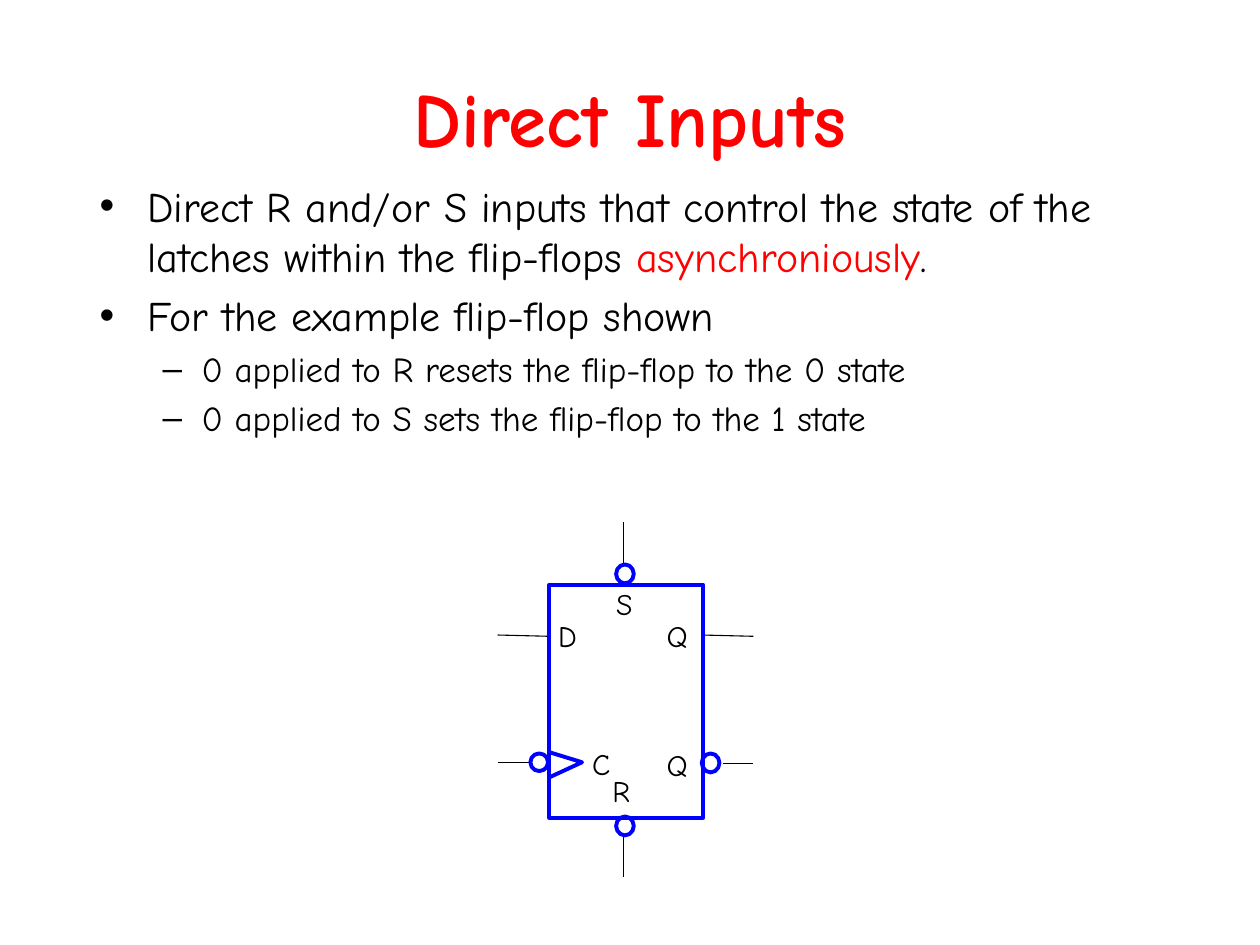
from dataclasses import dataclass

from lxml import etree
from pptx import Presentation
from pptx import util as u
from pptx.dml.color import RGBColor
from pptx.enum import shapes, text
from pptx.oxml.ns import qn

FONT = "Comic Neue"
BLACK, RED, BLUE, WHITE = "000000", "FF0000", "0000FF", "FFFFFF"
OUTLINE = 2.25
BUBBLE_SIZE = 0.14


@dataclass
class Wire:
    start: tuple[float, float]
    end: tuple[float, float]
    width: float = 0.63


@dataclass
class Label:
    name: str
    left: float
    top: float
    width: float


@dataclass
class Bullet:
    runs: list[tuple[str, str]]
    level: int = 0


@dataclass
class BulletStyle:
    mark: str
    margin: float
    indent: float
    size: float
    space_before: float


def color(value: str) -> RGBColor:
    return RGBColor.from_string(value)


def add_text(paragraph, content: str, *, size: float, fill: str = BLACK, bold: bool = False) -> None:
    run = paragraph.add_run()
    run.text = content
    run.font.name = FONT
    run.font.size = u.Pt(size)
    run.font.bold = bold
    run.font.color.rgb = color(fill)


def place(shape, left: float, top: float, width: float, height: float) -> None:
    shape.left, shape.top = u.Inches(left), u.Inches(top)
    shape.width, shape.height = u.Inches(width), u.Inches(height)


def set_bullet(paragraph, style: BulletStyle) -> None:
    paragraph.space_before = u.Pt(style.space_before)
    properties = paragraph._p.get_or_add_pPr()
    properties.set("marL", str(u.Inches(style.margin)))
    properties.set("indent", str(u.Inches(style.indent)))
    etree.SubElement(properties, qn("a:buChar")).set("char", style.mark)


def outline(shape, fill: str | None) -> None:
    shape.shadow.inherit = False
    if fill:
        shape.fill.solid()
        shape.fill.fore_color.rgb = color(fill)
    else:
        shape.fill.background()
    shape.line.color.rgb = color(BLUE)
    shape.line.width = u.Pt(OUTLINE)


def add_wire(group, wire: Wire) -> None:
    points = [u.Inches(value) for value in (*wire.start, *wire.end)]
    line = group.shapes.add_connector(shapes.MSO_CONNECTOR.STRAIGHT, *points)
    line.line.color.rgb = color(BLACK)
    line.line.width = u.Pt(wire.width)
    etree.SubElement(line._element.spPr, qn("a:effectLst"))


def add_block(group, kind, left: float, top: float, width: float, height: float,
              fill: str | None = None) -> None:
    shape = group.shapes.add_shape(
        kind, u.Inches(left), u.Inches(top), u.Inches(width), u.Inches(height))
    outline(shape, fill)


def add_label(group, label: Label) -> None:
    box = group.shapes.add_textbox(
        u.Inches(label.left), u.Inches(label.top), u.Inches(label.width), u.Inches(0.29))
    frame = box.text_frame
    frame.margin_left = frame.margin_right = frame.margin_top = frame.margin_bottom = 0
    frame.word_wrap = False
    frame.auto_size = text.MSO_AUTO_SIZE.SHAPE_TO_FIT_TEXT
    add_text(frame.paragraphs[0], label.name, size=17)


presentation = Presentation()
presentation.slide_width, presentation.slide_height = u.Inches(10), u.Inches(7.5)
slide = presentation.slides.add_slide(presentation.slide_layouts[1])
title, body = slide.placeholders

# Title
place(title, 0.5, 0.3, 9, 1.25)
title.text_frame.auto_size = text.MSO_AUTO_SIZE.NONE
title.text_frame.vertical_anchor = text.MSO_ANCHOR.MIDDLE
heading = title.text_frame.paragraphs[0]
heading.alignment = text.PP_ALIGN.CENTER
add_text(heading, "Direct Inputs", size=44, fill=RED, bold=True)

# Bulleted list
STYLES = [BulletStyle("•", 0.38, -0.38, 24, 5), BulletStyle("–", 0.81, -0.31, 20, 4)]
BULLETS = [
    Bullet([("Direct R and/or S inputs that control the state of the latches "
             "within the flip-flops ", BLACK), ("asynchroniously", RED), (". ", BLACK)]),
    Bullet([("For the example flip-flop shown ", BLACK)]),
    Bullet([("0 applied to R resets the flip-flop to the 0 state", BLACK)], level=1),
    Bullet([("0 applied to S sets the flip-flop to the 1 state", BLACK)], level=1),
]
place(body, 0.69, 1.38, 8.5, 5.5)
body.text_frame.auto_size = text.MSO_AUTO_SIZE.NONE
for index, bullet in enumerate(BULLETS):
    paragraph = body.text_frame.add_paragraph() if index else body.text_frame.paragraphs[0]
    paragraph.level = bullet.level
    style = STYLES[bullet.level]
    set_bullet(paragraph, style)
    for content, fill in bullet.runs:
        add_text(paragraph, content, size=style.size, fill=fill)

# Flip-flop wires
flip_flop = slide.shapes.add_group_shape()
WIRES = [
    Wire((4.95, 6.96), (4.95, 6.62), 0.75),
    Wire((4.95, 4.47), (4.95, 4.14), 0.75),
    Wire((3.95, 6.05), (4.21, 6.05)),
    Wire((5.57, 5.04), (5.98, 5.05)),
    Wire((3.95, 5.04), (4.36, 5.05)),
    Wire((5.74, 6.06), (5.98, 6.06)),
]
for wire in WIRES:
    add_wire(flip_flop, wire)

# Flip-flop body and inversion bubbles
add_block(flip_flop, shapes.MSO_SHAPE.RECTANGLE, 4.36, 4.64, 1.22, 1.85, WHITE)
add_block(flip_flop, shapes.MSO_SHAPE.OVAL, 4.21, 5.98, BUBBLE_SIZE, BUBBLE_SIZE, WHITE)
for left, top in [(5.57, 5.98), (4.89, 4.48), (4.89, 6.48)]:
    add_block(flip_flop, shapes.MSO_SHAPE.OVAL, left, top, BUBBLE_SIZE, 0.15)

# Clock edge marker
builder = flip_flop.shapes.build_freeform(u.Inches(4.36), u.Inches(5.97))
builder.add_line_segments(
    [(u.Inches(4.62), u.Inches(6.05)), (u.Inches(4.36), u.Inches(6.17))], close=False)
outline(builder.convert_to_shape(), None)

# Pin labels
LABELS = [
    Label("D", 4.43, 4.9, 0.17),
    Label("C", 4.7, 5.92, 0.15),
    Label("S", 4.89, 4.65, 0.16),
    Label("R", 4.86, 6.13, 0.15),
    Label("Q", 5.29, 4.9, 0.21),
    Label("Q", 5.29, 5.93, 0.21),
]
for label in LABELS:
    add_label(flip_flop, label)

presentation.save("out.pptx")
